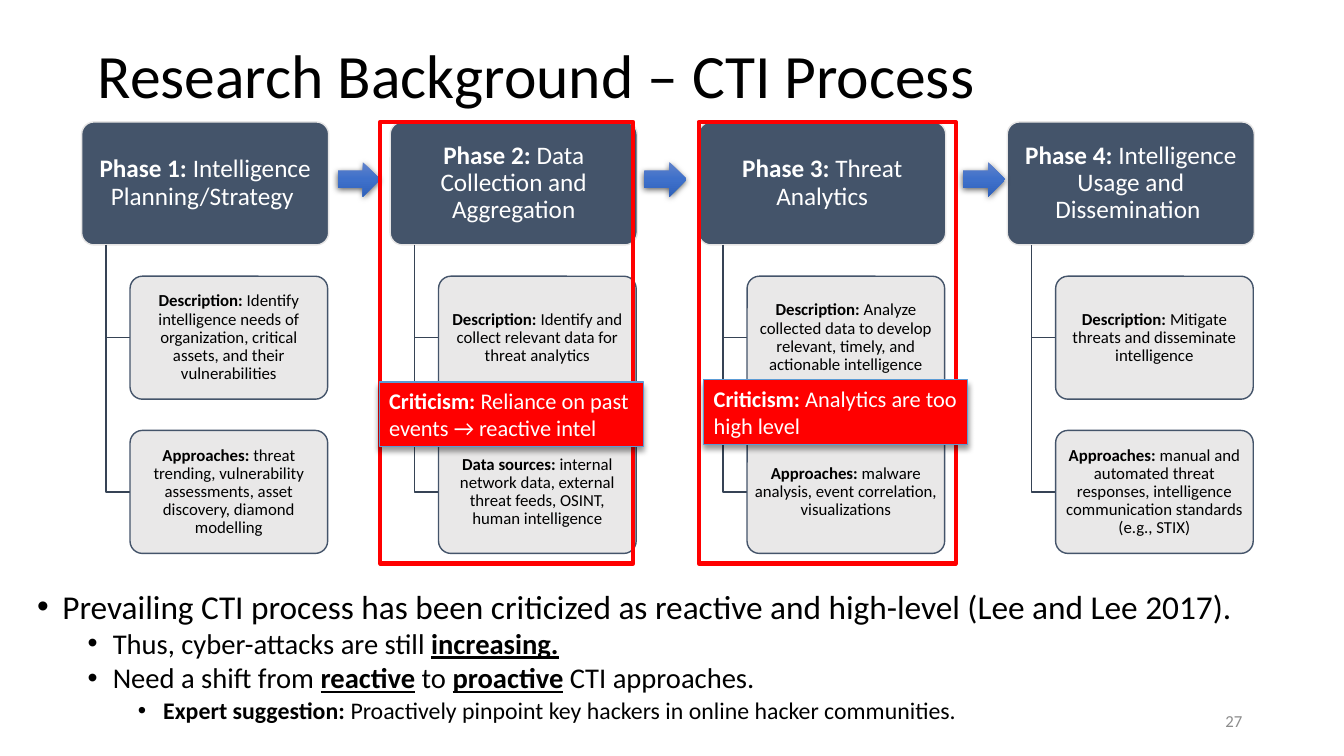
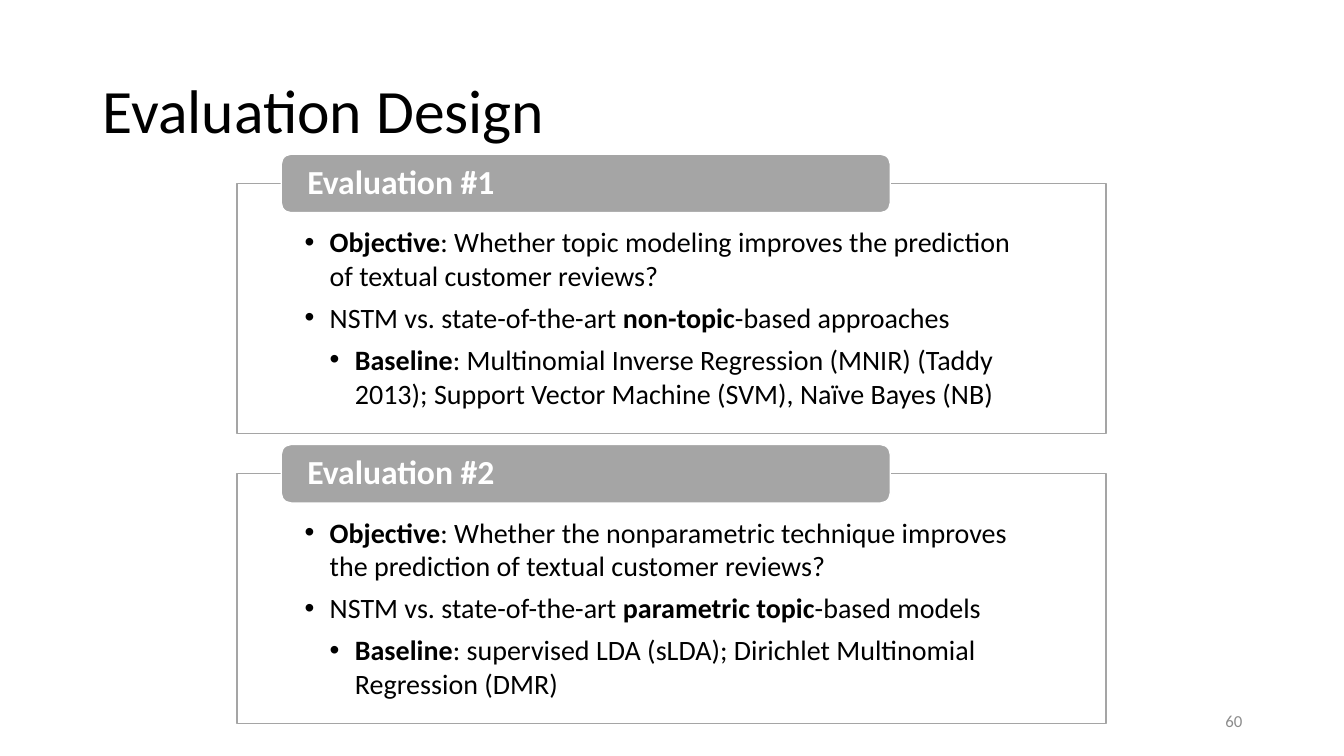
from lxml import etree
from pptx import Presentation
from pptx.dml.color import RGBColor
from pptx.enum.shapes import MSO_SHAPE as Kind
from pptx.enum.text import MSO_ANCHOR as Anchor, PP_ALIGN as Align
from pptx.oxml import parse_xml
from pptx.oxml.ns import nsdecls, qn
from pptx.util import Inches, Pt

# Shared style
FONT = "Calibri"
BLACK, WHITE, GREY = "000000", "FFFFFF", "8C8C8C"
NAVY, PALE, ELBOW = "44546A", "E7E6E6", "364355"
RED, BLUE, SILVER = "FF0000", "5B9BD5", "A5A5A5"
GRAD = [(0, "6183CB"), (50, "3E70CA"), (100, "3062BB")]
INSET = (0.1, 0.05, 0.1, 0.05)

# Content: a run is (text, style), where b is bold and u is underlined
PHASES = [
    [("Phase 1: ", "Intelligence Planning/Strategy "),
     ("Description:", " Identify intelligence needs of organization, "
      "critical assets, and their vulnerabilities"),
     ("Approaches:", " threat trending, vulnerability assessments, "
      "asset discovery, diamond modelling")],
    [("Phase 2: ", "Data Collection and Aggregation"),
     ("Description:", " Identify and collect relevant data for "
      "threat analytics"),
     ("Data sources:", " internal network data, external threat feeds, "
      "OSINT, human intelligence")],
    [("Phase 3: ", "Threat Analytics"),
     ("Description:", " Analyze collected data to develop relevant, "
      "timely, and actionable intelligence"),
     ("Approaches:", " malware analysis, event correlation, "
      "visualizations")],
    [("Phase 4: ", "Intelligence Usage and Dissemination "),
     ("Description:", " Mitigate threats and disseminate intelligence"),
     ("Approaches: ", "manual and automated threat responses, intelligence "
      "communication standards (e.g., STIX)")],
]
ARROWS = [3.35, 6.39, 9.55]
FRAMES = [(3.77, 2.51), (6.93, 2.55)]
CRITICS = [(3.76, 3.79, "Reliance on past events → reactive intel"),
           (6.98, 3.77, "Analytics are too high level")]
# Size, indent, space before, runs
POINTS = [
    (23.8, 0.25, 0, [("Prevailing CTI process has been criticized as reactive "
                      "and high-level (Lee and Lee 2017).", "")]),
    (20.4, 0.75, 5, [("Thus, cyber-attacks are still ", ""),
                     ("increasing.", "bu")]),
    (20.4, 0.75, 5, [("Need a shift from ", ""), ("reactive", "bu"),
                     (" to ", ""), ("proactive", "bu"),
                     (" CTI approaches.", "")]),
    (17, 1.25, 5, [("Expert suggestion: ", "b"),
                   ("Proactively pinpoint key hackers in online hacker "
                    "communities.", "")]),
]
# Heading, then (indent, runs)
TESTS = [
    ("Evaluation #1", [
        (0.25, [("Objective", "b"), (": Whether topic modeling improves the "
                "prediction of textual customer reviews?", "")]),
        (0.25, [("NSTM vs. state-of-the-art ", ""), ("non-topic", "b"),
                ("-based approaches", "")]),
        (0.5, [("Baseline", "b"), (": Multinomial Inverse Regression (MNIR) "
               "(Taddy 2013); Support Vector Machine (SVM), "
               "Naïve Bayes (NB)", "")]),
    ]),
    ("Evaluation #2", [
        (0.25, [("Objective", "b"), (": Whether the nonparametric technique "
                "improves the prediction of textual customer reviews?", "")]),
        (0.25, [("NSTM vs. state-of-the-art ", ""),
                ("parametric topic", "b"), ("-based models", "")]),
        (0.5, [("Baseline", "b"), (": supervised LDA (sLDA); Dirichlet "
               "Multinomial Regression (DMR)", "")]),
    ]),
]


def rgb(code):
    return RGBColor.from_string(code)


def frame(shape, anchor=Anchor.MIDDLE, inset=INSET):
    body = shape.text_frame
    body.word_wrap = True
    body.vertical_anchor = anchor
    (body.margin_left, body.margin_top,
     body.margin_right, body.margin_bottom) = map(Inches, inset)
    return body


def write(para, runs, size, color=BLACK, align=Align.LEFT, lead=None):
    para.alignment = align
    if lead:
        para.line_spacing = lead
    for text, style in runs:
        run = para.add_run()
        run.text = text
        font = run.font
        font.name, font.size, font.color.rgb = FONT, Pt(size), rgb(color)
        font.bold, font.underline = "b" in style, "u" in style


def bullet(para, indent):
    props = para._p.get_or_add_pPr()
    props.set("marL", str(Inches(indent)))
    props.set("indent", str(-Inches(0.25)))
    etree.SubElement(props, qn("a:buFont")).set("typeface", "Arial")
    etree.SubElement(props, qn("a:buChar")).set("char", "•")


def paras(body, count):
    return [body.paragraphs[0]] + [body.add_paragraph()
                                   for _ in range(count - 1)]


def textbox(slide, *box):
    return slide.shapes.add_textbox(*map(Inches, box))


def paint(shape, fill=None, line=None, width=1, alpha=None):
    shape.shadow.inherit = False
    if fill:
        shape.fill.solid()
        shape.fill.fore_color.rgb = rgb(fill)
    else:
        shape.fill.background()
    if alpha:
        tint = shape.fill._xPr.find(".//" + qn("a:srgbClr"))
        etree.SubElement(tint, qn("a:alpha")).set("val", str(alpha * 1000))
    if line:
        shape.line.color.rgb = rgb(line)
        shape.line.width = Pt(width)
    else:
        shape.line.fill.background()


def add(slide, kind, box, round_by=None, **look):
    shape = slide.shapes.add_shape(kind, *map(Inches, box))
    if round_by:
        shape.adjustments[0] = round_by
    paint(shape, **look)
    return shape


def shade(shape, alpha, blur, dist):
    effects = shape._element.spPr.find(qn("a:effectLst"))
    effects.append(parse_xml(
        f'<a:outerShdw {nsdecls("a")} blurRad="{Pt(blur)}" dist="{Pt(dist)}" '
        f'dir="5400000" rotWithShape="0"><a:srgbClr val="{BLACK}">'
        f'<a:alpha val="{alpha * 1000}"/></a:srgbClr></a:outerShdw>'))


def blend(shape):
    stops = "".join(f'<a:gs pos="{pos * 1000}"><a:srgbClr val="{code}"/></a:gs>'
                    for pos, code in GRAD)
    props = shape._element.spPr
    props.replace(props.find(qn("a:noFill")), parse_xml(
        f'<a:gradFill {nsdecls("a")} rotWithShape="1"><a:gsLst>{stops}'
        f'</a:gsLst><a:lin ang="5400000" scaled="0"/></a:gradFill>'))


def start(deck, title, left, top, page):
    slide = deck.slides.add_slide(deck.slide_layouts[6])
    head = frame(textbox(slide, left, top, 11.5, 1.45))
    write(head.paragraphs[0], [(title, "")], 44, lead=0.9)
    foot = frame(textbox(slide, 9.42, 6.95, 3, 0.4))
    write(foot.paragraphs[0], [(page, "")], 12, GREY, Align.RIGHT)
    return slide


def card(slide, box, pair, size, color, inset, **look):
    shape = add(slide, Kind.ROUNDED_RECTANGLE, box, 0.1, **look)
    label, rest = pair
    write(frame(shape, inset=inset).paragraphs[0],
          [(label, "b"), (rest, "")], size, color, Align.CENTER, 0.9)


def elbow(slide, left, top, right, bottom):
    left, top, right, bottom = map(Inches, (left, top, right, bottom))
    path = slide.shapes.build_freeform(left, top)
    path.add_line_segments([(left, bottom), (right, bottom)], close=False)
    paint(path.convert_to_shape(), line=ELBOW)


def process(deck):
    slide = start(deck, "Research Background – CTI Process", 0.87, 0.05, "27")
    # Bullets
    body = frame(textbox(slide, 0.27, 5.84, 12.68, 1.51), Anchor.TOP)
    for para, (size, indent, gap, runs) in zip(paras(body, len(POINTS)),
                                               POINTS):
        bullet(para, indent)
        para.space_before = Pt(gap)
        write(para, runs, size, lead=0.8)
    # Phase columns
    top, high, step = 1.21, 1.22, 1.53
    for col, (head, *notes) in enumerate(PHASES):
        left = 0.81 + 3.06 * col
        card(slide, (left, top, 2.45, high), head, 18, WHITE,
             (0.04, 0.03, 0.04, 0.03), fill=NAVY, line=PALE)
        for row, note in enumerate(notes, 1):
            y = top + step * row
            elbow(slide, left + 0.24, top + high, left + 0.48, y + high / 2)
            card(slide, (left + 0.48, y, 1.96, high), note, 12, BLACK,
                 (0.03, 0.02, 0.03, 0.02), fill=PALE, line=NAVY, alpha=90)
    # Arrows between phases
    for left in ARROWS:
        arrow = add(slide, Kind.RIGHT_ARROW, (left, 1.61, 0.42, 0.34))
        blend(arrow)
        shade(arrow, 63, 4.5, 1.5)
    # Red frames and criticisms
    for left, wide in FRAMES:
        add(slide, Kind.RECTANGLE, (left, top, wide, 4.38), line=RED, width=3)
    for left, y, text in CRITICS:
        flag = add(slide, Kind.RECTANGLE, (left, y, 2.62, 0.64),
                   fill=RED, line=BLUE, width=0.75)
        shade(flag, 40, 4, 3)
        write(frame(flag, Anchor.TOP).paragraphs[0],
              [("Criticism: ", "b"), (text, "")], 16, WHITE)


def design(deck):
    slide = start(deck, "Evaluation Design", 0.92, 0.4, "60")
    for row, (name, items) in enumerate(TESTS):
        top = 1.82 + 2.88 * row
        # Panel
        panel = add(slide, Kind.RECTANGLE, (2.35, top, 8.62, 2.48),
                    fill=WHITE, line=SILVER, alpha=90)
        body = frame(panel, Anchor.TOP, (0.67, 0.41, 0.67, 0.16))
        for para, (indent, runs) in zip(paras(body, len(items)), items):
            bullet(para, indent)
            para.space_after = Pt(6)
            write(para, runs, 20)
        # Heading tab
        tab = add(slide, Kind.ROUNDED_RECTANGLE, (2.79, top - 0.29, 6.04, 0.58),
                  fill=SILVER, line=WHITE)
        write(frame(tab, inset=(0.23, 0, 0.23, 0)).paragraphs[0],
              [(name, "b")], 24, WHITE, lead=0.9)


def main():
    deck = Presentation()
    deck.slide_width, deck.slide_height = Inches(13.33), Inches(7.5)
    process(deck)
    design(deck)
    deck.save("out.pptx")


if __name__ == "__main__":
    main()
